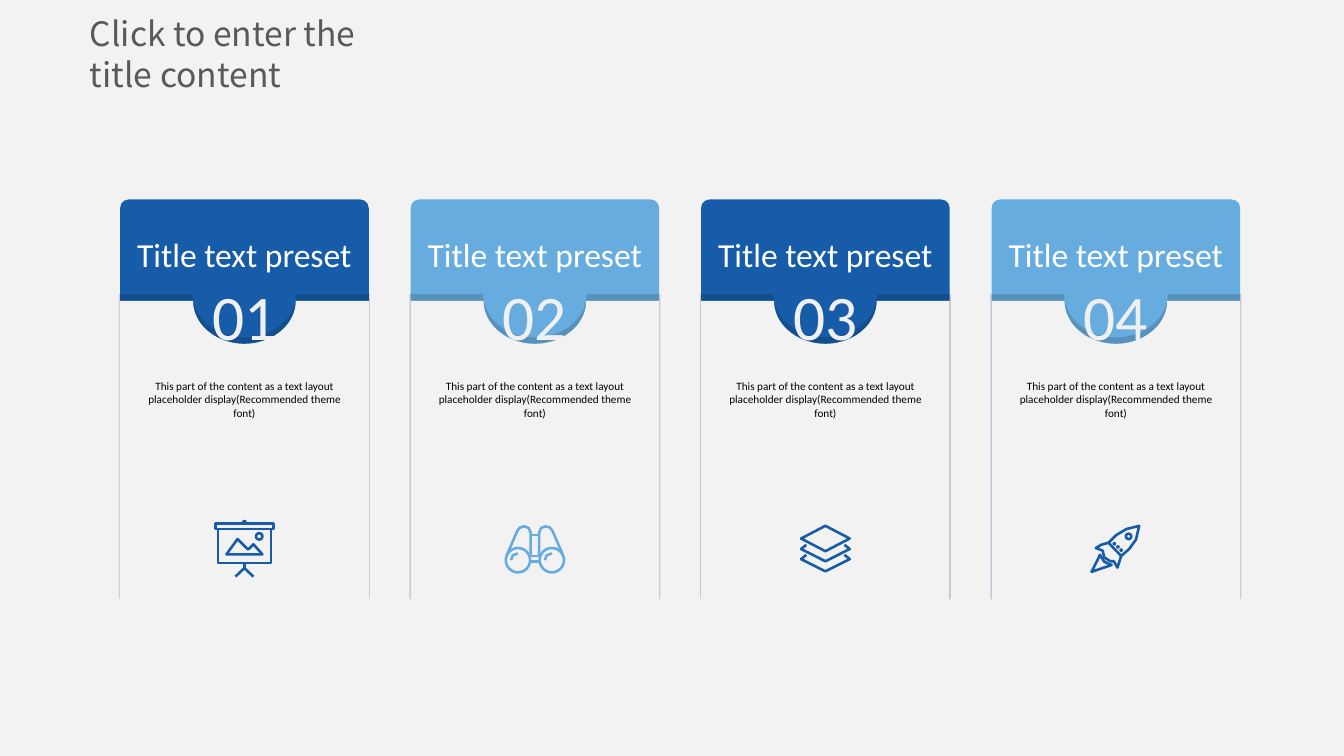
from math import cos, pi, sin

from lxml.etree import SubElement
from pptx import Presentation
from pptx.dml.color import RGBColor
from pptx.enum.shapes import MSO_SHAPE as Shape
from pptx.enum.text import MSO_ANCHOR as Anchor, PP_ALIGN as Align
from pptx.oxml.ns import qn
from pptx.util import Cm, Pt

BLUE = RGBColor(0x17, 0x5C, 0xA8)
SKY = RGBColor(0x67, 0xAC, 0xDF)
PAPER = RGBColor(0xF2, 0xF2, 0xF2)
PALE = RGBColor(0xF0, 0xF0, 0xF0)
WHITE = RGBColor(0xFF, 0xFF, 0xFF)
BLACK = RGBColor(0, 0, 0)
GREY = RGBColor(0x59, 0x59, 0x59)
BODY = "This part of the content as a text layout placeholder display(Recommended theme font)"


def mirror(points):
    """Return the points flipped about the vertical axis."""
    return [(-x, y) for x, y in points]


def arc(x, y, rx, ry, start, end, steps):
    """Return points along an elliptical arc, angles in degrees."""
    angles = [(start + (end - start) * i / steps) * pi / 180 for i in range(steps + 1)]
    return [(x + rx * cos(a), y + ry * sin(a)) for a in angles]


BARREL = [(-.53, .12), (-.33, -.34), (-.28, -.4), (-.2, -.42), (-.12, -.39), (-.08, -.3), (-.08, .12)]
GLINT = [(-.45, .22), (-.42, .13), (-.32, .09)]
LAYER = [(-.36, -.07), (-.46, .01), (0, .24), (.46, .01), (.36, -.07)]
EASEL = {
    "closed": [
        [(-.55, -.47), (.55, -.47), (.55, -.37), (-.55, -.37)],
        [(-.5, -.37), (.5, -.37), (.5, .27), (-.5, .27)],
        [(-.34, .11), (-.13, -.18), (.07, .02), (.17, -.08), (.34, .11)],
    ],
    "open": [[(0, .27), (0, .37)], [(-.17, .53), (0, .37), (.17, .53)]],
    "circles": [(.28, -.23, .06), (0, -.5, .02)],
}
BINOCULARS = {
    "open": [BARREL, mirror(BARREL), GLINT, [(x + .64, y) for x, y in GLINT]]
    + [[(-.08, y), (.08, y)] for y in (-.26, .14, .24)],
    "circles": [(-.32, .22, .23), (.32, .22, .23)],
}
LAYERS = {
    "closed": [[(0, -.43), (.46, -.19), (0, .05), (-.46, -.19)]],
    "open": [LAYER, [(x, y + .19) for x, y in LAYER]],
}
ROCKET = {
    "closed": [
        [(.44, -.43), (.2, -.37), (0, -.25), (-.14, -.11), (.1, .14), (.25, .01), (.38, -.17)],
        [(-.3, .12), (-.46, .44), (-.08, .31), (-.22, .25)],
    ],
    "open": [[(-.14, -.11), (-.28, -.07), (-.38, -.01), (-.25, .04), (-.22, .17),
              (-.1, .24), (-.04, .24), (.03, .36), (.1, .14)]],
    "circles": [(.24, -.23, .05), (-.03, -.09, .01), (.04, -.03, .01), (.1, .03, .01)],
}
CARDS = [("01", BLUE, EASEL, BLUE), ("02", SKY, BINOCULARS, SKY),
         ("03", BLUE, LAYERS, BLUE), ("04", SKY, ROCKET, BLUE)]


def write(frame, text, size, color, font="Calibri", align=Align.CENTER):
    """Put one styled run in a text frame."""
    para = frame.paragraphs[0]
    para.alignment = align
    span = para.add_run()
    span.text = text
    span.font.size, span.font.name = Pt(size), font
    span.font.color.rgb = color


def add_label(shapes, left, top, width, height, text, size, color, margin=0.25):
    """Add a centred text box."""
    box = shapes.add_textbox(Cm(left), Cm(top), Cm(width), Cm(height))
    frame = box.text_frame
    frame.word_wrap = True
    frame.margin_left = frame.margin_right = Cm(margin)
    write(frame, text, size, color)


def add_block(shapes, preset, left, top, width, height, color):
    """Add a preset shape with a plain fill."""
    block = shapes.add_shape(preset, Cm(left), Cm(top), Cm(width), Cm(height))
    block.shadow.inherit = False
    block.fill.solid()
    block.fill.fore_color.rgb = color
    block.line.fill.background()
    return block


def add_outline(shapes, left, top, closed, opened=()):
    """Draw one freeform from contours given in centimetres from an origin."""
    builder = None
    for points, close in [(p, True) for p in closed] + [(p, False) for p in opened]:
        first, *rest = [(Cm(left + x), Cm(top + y)) for x, y in points]
        if builder is None:
            builder = shapes.build_freeform(*first)
        else:
            builder.move_to(*first)
        builder.add_line_segments(rest, close=close)
    outline = builder.convert_to_shape()
    outline.shadow.inherit = False
    return outline


def add_icon(shapes, x, y, icon, color):
    """Draw a line icon centred at x, y."""
    rings = [arc(dx, dy, r, r, 0, 345, 23) for dx, dy, r in icon.get("circles", [])]
    drawing = add_outline(shapes, x, y, icon.get("closed", []) + rings, icon["open"])
    drawing.fill.background()
    drawing.line.color.rgb = color
    drawing.line.width = Pt(1.4)


def add_panel(shapes, left, top, width, height):
    """Add the notched pale panel with a shadow above its top edge."""
    corner = 0.15
    points = [(0, 0), *arc(width / 2, 0, 0.97, 0.81, 180, 0, 40), (width, 0),
              *arc(width - corner, height - corner, corner, corner, 0, 90, 8),
              *arc(corner, height - corner, corner, corner, 90, 180, 8)]
    panel = add_outline(shapes, left, top, [points])
    panel.fill.solid()
    panel.fill.fore_color.rgb = PAPER
    panel.line.fill.background()
    effects = panel._element.spPr.find(qn("a:effectLst"))
    shadow = SubElement(effects, qn("a:outerShdw"), dist=str(Pt(2)), dir="16200000",
                        sx="101000", sy="101000", algn="b", rotWithShape="0")
    tint = SubElement(shadow, qn("a:srgbClr"), val="000000")
    SubElement(tint, qn("a:alpha"), val="14000")


def add_card(page, left, top, width, height, number, color, icon, icon_color):
    """Add one numbered card as a group."""
    shapes = page.shapes.add_group_shape().shapes
    middle = left + width / 2
    card = add_block(shapes, Shape.ROUNDED_RECTANGLE, left, top, width, height, color)
    card.adjustments[0] = 0.035
    frame = card.text_frame
    frame.word_wrap = False
    frame.vertical_anchor = Anchor.TOP
    frame.margin_top = frame.margin_bottom = Cm(0.61)
    write(frame, "Title text preset", 18, WHITE)
    add_panel(shapes, left, top + 1.92, width, height - 1.91)
    add_label(shapes, middle - 0.79, top + 1.34, 1.58, 1.48, number, 34, PALE, 0)
    add_label(shapes, middle - 2.17, top + 3.27, 4.34, 1.12, BODY, 6, BLACK)
    add_icon(shapes, middle, top + 6.6, icon, icon_color)


def add_title(page, left, top, width, height):
    """Add the slide title."""
    box = page.shapes.add_textbox(Cm(left), Cm(top), Cm(width), Cm(height))
    frame = box.text_frame
    frame.word_wrap = True
    frame.vertical_anchor = Anchor.MIDDLE
    frame.margin_left = frame.margin_right = 0
    write(frame, "Click to enter the title content", 18, GREY, "Noto Sans CJK SC", Align.LEFT)


def main():
    """Build and save the slide."""
    deck = Presentation()
    deck.slide_width, deck.slide_height = Cm(25.4), Cm(14.29)
    page = deck.slides.add_slide(deck.slide_layouts[6])
    add_block(page.shapes, Shape.RECTANGLE, 0, 0, 25.4, 14.29, PAPER)
    for index, card in enumerate(CARDS):
        add_card(page, 2.27 + 5.49 * index, 3.77, 4.7, 7.7, *card)
    add_title(page, 1.7, 0.48, 5.92, 1.07)
    deck.save("out.pptx")


if __name__ == "__main__":
    main()
